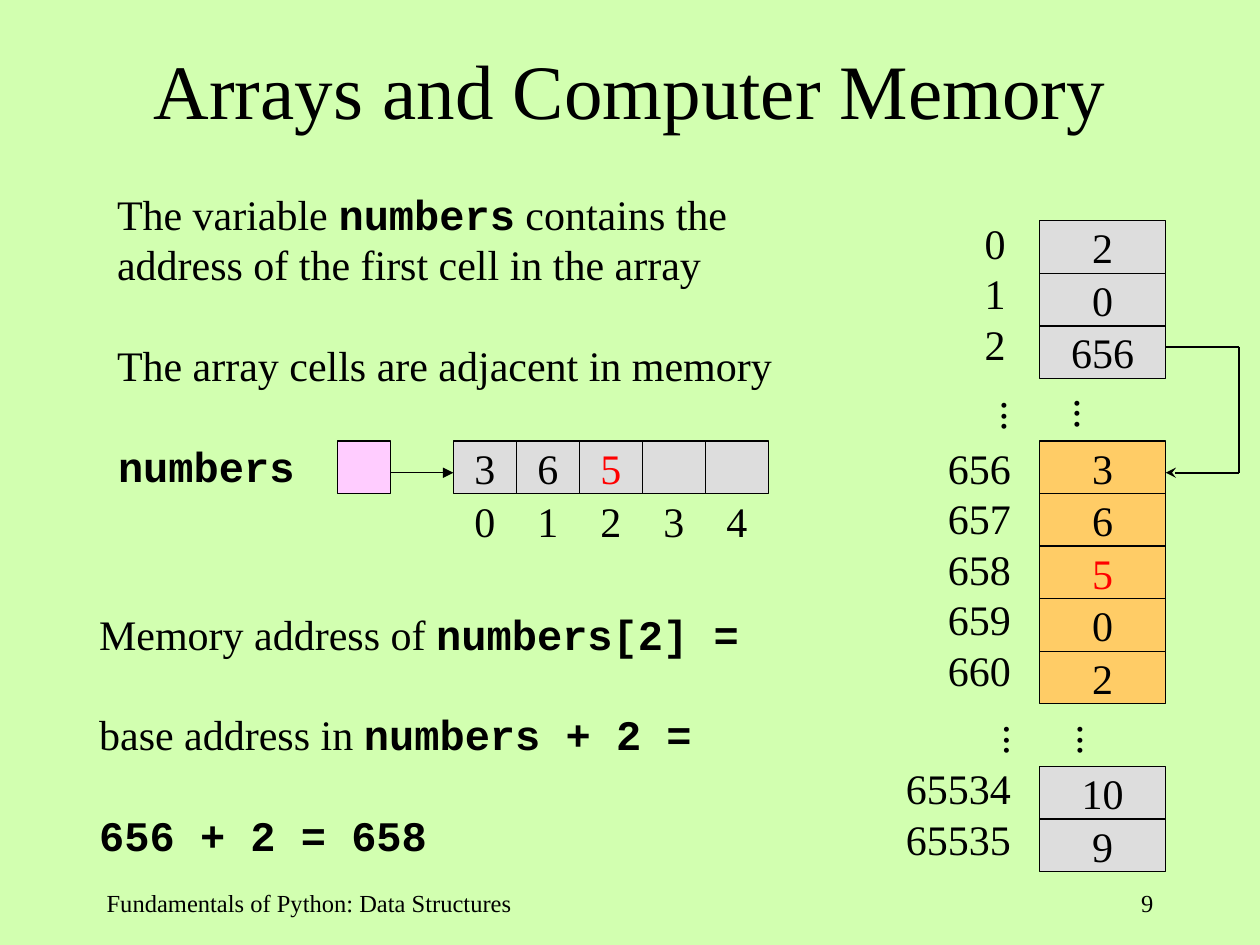
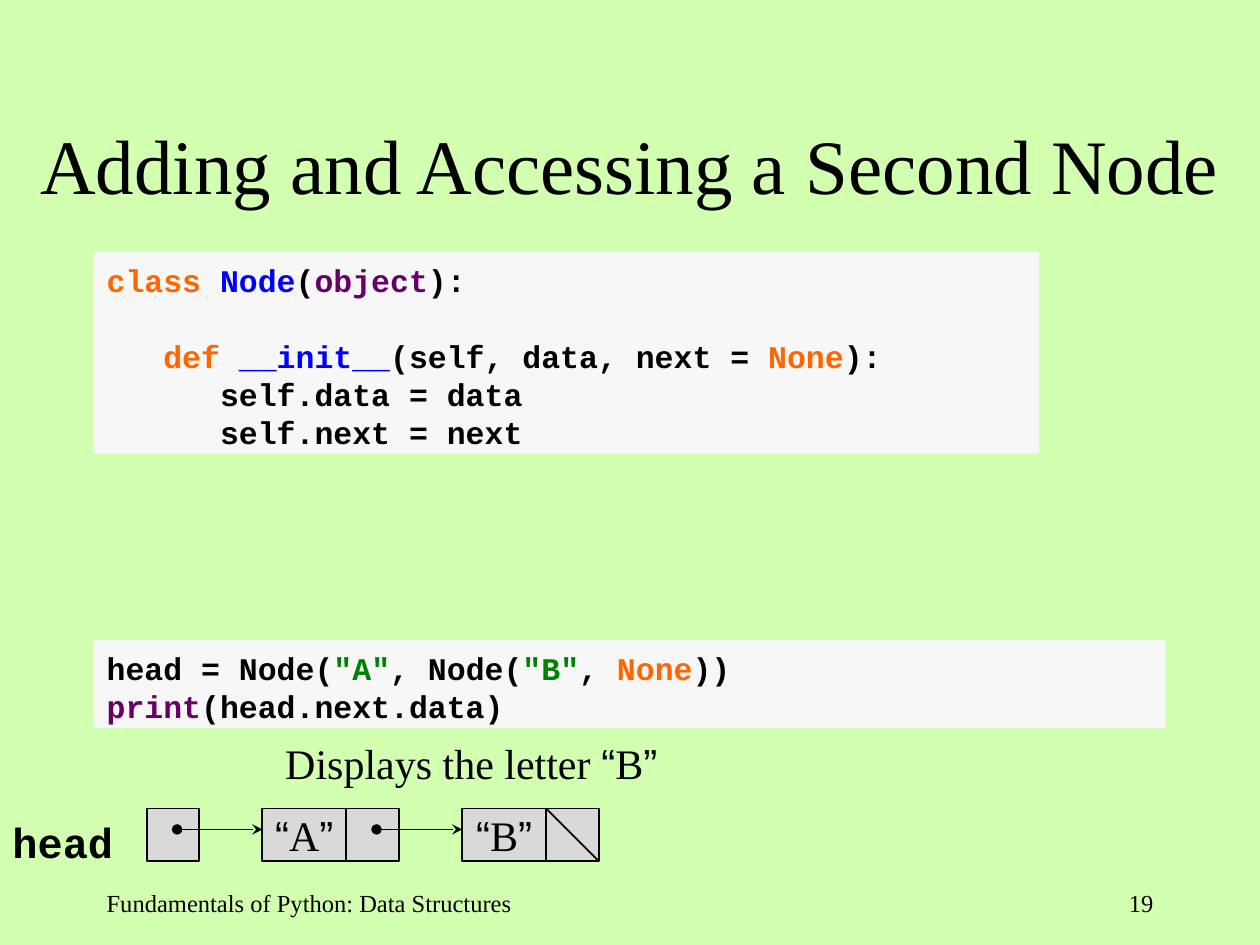
from dataclasses import dataclass

from lxml import etree
from pptx import Presentation, util as u
from pptx.dml.color import RGBColor
from pptx.enum import shapes, text
from pptx.oxml.ns import qn

BLACK, RED, BLUE, GREEN, ORANGE, PURPLE = "000000", "FF0000", "0000FF", "008000", "FF6600", "660066"
BACKGROUND, GREY, NODE_GREY, PINK, GOLD, CODE_FILL = "D2FFB0", "DDDDDD", "D9D9D9", "FFCCFF", "FFCC66", "F7F7F7"
SERIF, SANS, MONO = "Times New Roman", "Arial", "Courier New"
LEFT, CENTER, RIGHT = text.PP_ALIGN.LEFT, text.PP_ALIGN.CENTER, text.PP_ALIGN.RIGHT
TOP, MIDDLE = text.MSO_ANCHOR.TOP, text.MSO_ANCHOR.MIDDLE
CELL = 1.06
LEADING = 1.2
FOOTER = "Fundamentals of Python: Data Structures"


@dataclass
class Line:
    """One paragraph: its runs, blank lines before it and indent in characters."""
    runs: list
    gap: int = 0
    indent: int = 0


def color(value):
    """Turn a hex string into a colour."""
    return RGBColor.from_string(value)


def style(target, **values):
    """Set each named value as an attribute of the target."""
    for name, value in values.items():
        setattr(target, name, value)


def plain(words, ink=BLACK):
    """Make a serif run."""
    return words, SERIF, ink


def code(words, ink=BLACK):
    """Make a bold monospaced run."""
    return words, MONO, ink


def quoted(letter):
    """Make the runs of a letter in curly quotation marks."""
    return [("“", SANS, BLACK), plain(letter), ("”", SANS, BLACK)]


def write(shape, lines, size=24, align=LEFT, anchor=TOP, wrap=True):
    """Fill a shape with lines of formatted runs."""
    has_code = any(font == MONO for line in lines for _, font, _ in line.runs)
    frame = shape.text_frame
    style(frame, word_wrap=wrap, vertical_anchor=anchor, margin_left=u.Cm(0.25), margin_right=u.Cm(0.25),
          margin_top=u.Cm(0.19 if has_code else 0.13), margin_bottom=u.Cm(0.13))
    for index, line in enumerate(lines):
        paragraph = frame.add_paragraph() if index else frame.paragraphs[0]
        style(paragraph, alignment=align, line_spacing=u.Pt(size * LEADING),
              space_before=u.Pt(line.gap * size * LEADING))
        if line.indent:
            paragraph._p.get_or_add_pPr().set("marL", str(u.Pt(line.indent * size * 0.6)))
        for words, font, ink in line.runs:
            run = paragraph.add_run()
            run.text = words
            style(run.font, name=font, size=u.Pt(size), bold=font == MONO)
            run.font.color.rgb = color(ink)


def add_text(slide, box, lines, **layout):
    """Add a text box with lines."""
    shape = slide.shapes.add_textbox(*map(u.Cm, box))
    write(shape, lines, **layout)
    return shape


def add_cell(slide, box, fill, runs=(), line_width=0.75):
    """Add a filled rectangle with a centred value."""
    shape = slide.shapes.add_shape(shapes.MSO_SHAPE.RECTANGLE, *map(u.Cm, box))
    shape.shadow.inherit = False
    shape.fill.solid()
    shape.fill.fore_color.rgb = color(fill)
    if line_width:
        shape.line.color.rgb = color(BLACK)
        shape.line.width = u.Pt(line_width)
    else:
        shape.line.fill.background()
    if runs:
        write(shape, [Line(runs)], align=CENTER, anchor=MIDDLE, wrap=False)
    return shape


def add_line(slide, start, end, width=1, **ends):
    """Add a straight line with optional headEnd and tailEnd marks."""
    connector = slide.shapes.add_connector(shapes.MSO_CONNECTOR.STRAIGHT, *map(u.Cm, (*start, *end)))
    connector.line.color.rgb = color(BLACK)
    connector.line.width = u.Pt(width)
    outline = connector.line._get_or_add_ln()
    for name, kind in ends.items():
        etree.SubElement(outline, qn(f"a:{name}"), type=kind)
    etree.SubElement(connector._element.spPr, qn("a:effectLst"))


def add_ellipsis(slide, left, top):
    """Add three dots that run downwards."""
    shape = add_text(slide, (left, top, 1.52, 0.89), [Line([plain("...")])], wrap=False)
    style(shape.text_frame, margin_left=u.Cm(0.13), margin_right=u.Cm(0.13),
          margin_top=u.Cm(0.25), margin_bottom=u.Cm(0.25))
    shape.text_frame._txBody.bodyPr.set("vert", "eaVert")


def new_slide(presentation, title, title_box, number):
    """Add a slide with background, title, footer and number."""
    slide = presentation.slides.add_slide(presentation.slide_layouts[6])
    slide.background.fill.solid()
    slide.background.fill.fore_color.rgb = color(BACKGROUND)
    add_text(slide, title_box, [Line([plain(title)])], size=44, align=CENTER, anchor=MIDDLE)
    add_text(slide, (1.9, 17.78, 9.1, 1.27), [Line([plain(FOOTER)])], size=14)
    add_text(slide, (18.2, 17.78, 5.3, 1.27), [Line([plain(str(number))])], size=14, align=RIGHT)
    return slide


def value_run(value):
    """Make the run of a stored value, with the sought 5 in red."""
    return [plain(value, RED if value == "5" else BLACK)]


def draw_array(slide, box):
    """Draw the variable, its pointer and the indexed array cells."""
    left, top, width, height = box
    add_text(slide, (left, top - 0.2, 4.6, 1.27), [Line([code("numbers")])])
    add_cell(slide, (left + 4.68, top, CELL, height), PINK)
    first, step = left + 7.01, 1.27
    add_line(slide, (left + 4.68 + CELL, top + 0.64), (first, top + 0.64), 0.75, tailEnd="triangle")
    for index, value in enumerate(["3", "6", "5", "", ""]):
        cell_left = first + index * step
        add_cell(slide, (cell_left, top, step, height), GREY, value_run(value) if value else ())
        add_text(slide, (cell_left, top + 0.97, step, 1.27), [Line([plain(str(index))])], align=CENTER)


def draw_memory(slide, box):
    """Draw the memory cells with addresses, gaps and the pointer loop."""
    left, top, width, height = box
    right, cell_width = left + width, 2.54
    blocks = [
        (0, 0.2, 2.51, GREY, range(3), ["2", "0", "656"]),
        (4.44, 0.1, 2.62, GOLD, range(656, 661), ["3", "6", "5", "0", "2"]),
        (11, 0.2, 2.62, GREY, range(65534, 65536), ["10", "9"]),
    ]
    for offset, rise, label_right, fill, addresses, values in blocks:
        lines = [Line([plain(str(address))]) for address in addresses]
        add_text(slide, (left - 0.5, top + offset - rise, label_right + 0.5, len(lines) * 1.02 + 0.26),
                 lines, align=RIGHT)
        for row, value in enumerate(values):
            add_cell(slide, (right - cell_width, top + offset + row * CELL, cell_width, CELL),
                     fill, value_run(value))
    for x, y in [(3.12, 3.33), (1.65, 3.38), (3.18, 9.91), (1.7, 9.91)]:
        add_ellipsis(slide, left + x, top + y)
    loop, start, end = right + 1.47, top + 2.54, top + 5.08
    add_line(slide, (loop, start), (right, start))
    add_line(slide, (loop, start), (loop, end))
    add_line(slide, (loop, end), (right, end), tailEnd="stealth")


def draw_code(slide, box, lines):
    """Draw a pale panel with program lines."""
    write(add_cell(slide, box, CODE_FILL, line_width=0), lines, size=18)


def draw_linked_list(slide, box):
    """Draw the head pointer and the two linked nodes."""
    left, top, width, height = box
    data_width, arrow_y, step = 1.69, top + 0.42, 4.03
    add_text(slide, (left, top - 0.03, 2.8, 1.27), [Line([code("head")])])
    links = [left + 2.96]
    add_cell(slide, (links[0], top, CELL, height), NODE_GREY, line_width=1)
    for index, letter in enumerate("AB"):
        node_left = left + 5.29 + index * step
        links.append(node_left + data_width)
        add_cell(slide, (links[-1], top, CELL, height), NODE_GREY, line_width=1)
        add_cell(slide, (node_left, top, data_width, height), NODE_GREY, quoted(letter), 1)
        add_line(slide, (links[index] + 0.61, arrow_y), (node_left, arrow_y),
                 headEnd="oval", tailEnd="stealth")
    add_line(slide, (links[-1], top), (links[-1] + CELL, top + height))


def build_memory_slide(presentation):
    """Build the slide on arrays in memory."""
    slide = new_slide(presentation, "Arrays and Computer Memory", (1.9, 0.2, 21.6, 3.18), 9)
    add_text(slide, (2.11, 3.61, 15.04, 4.32), [
        Line([plain("The variable "), code("numbers"),
              plain(" contains the address of the first cell in the array")]),
        Line([plain("The array cells are adjacent in memory")], gap=1),
    ])
    draw_array(slide, (2.13, 8.89, 13.36, CELL))
    add_text(slide, (1.75, 12.07, 14, 5.33), [
        Line([plain("Memory address of "), code("numbers[2] =")]),
        Line([plain("base address in "), code("numbers + 2 =")], gap=1),
        Line([code("656 + 2 = 658")], gap=1),
    ])
    draw_memory(slide, (18.01, 4.45, 5.49, 13.12))


def build_node_slide(presentation):
    """Build the slide on linked nodes."""
    slide = new_slide(presentation, "Adding and Accessing a Second Node", (0, 1.7, 25.4, 3.18), 19)
    draw_code(slide, (1.9, 5.08, 19.05, 4.06), [
        Line([code("class ", ORANGE), code("Node", BLUE), code("("), code("object", PURPLE), code("):")]),
        Line([code("def ", ORANGE), code("__init__", BLUE), code("(self, data, next = "),
              code("None", ORANGE), code("):")], gap=1, indent=3),
        Line([code("self.data = data")], indent=6),
        Line([code("self.next = next")], indent=6),
    ])
    draw_code(slide, (1.9, 12.9, 21.59, 1.78), [
        Line([code("head = Node("), code('"A"', GREEN), code(", Node("), code('"B"', GREEN),
              code(", "), code("None", ORANGE), code("))")]),
        Line([code("print", PURPLE), code("(head.next.data)")]),
    ])
    add_text(slide, (5.5, 14.73, 18.4, 1.27), [Line([plain("Displays the letter ")] + quoted("B"))])
    draw_linked_list(slide, (0, 16.3, 12.07, CELL))


def main():
    """Build and save the presentation."""
    presentation = Presentation()
    style(presentation, slide_width=u.Cm(25.4), slide_height=u.Cm(19.05))
    build_memory_slide(presentation)
    build_node_slide(presentation)
    presentation.save("out.pptx")


if __name__ == "__main__":
    main()
